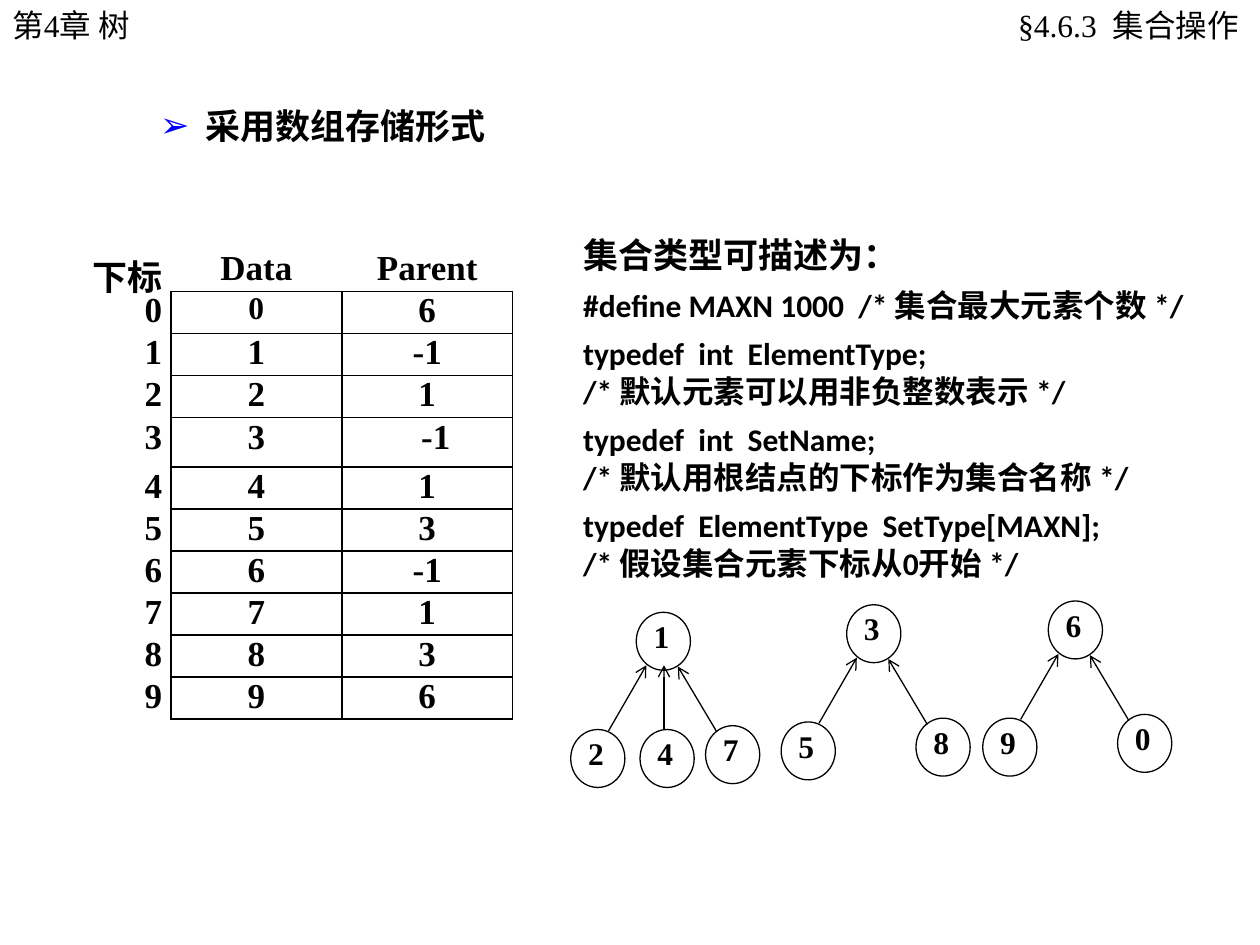
from lxml import etree
from pptx import Presentation
from pptx.dml.color import RGBColor
from pptx.enum.shapes import MSO_CONNECTOR as Connector, MSO_SHAPE as Shape
from pptx.enum.text import MSO_ANCHOR as Anchor, MSO_AUTO_SIZE as AutoSize, PP_ALIGN as Align
from pptx.oxml.ns import qn
from pptx.util import Inches, Pt

COLORS = {"ink": "000000", "paper": "FFFFFF", "bullet": "0000FF"}
SERIF, SANS = "Times New Roman", "Calibri"

PARENTS = [6, -1, 1, -1, 1, 3, -1, 1, 3, 6]
CODE = [
    ["集合类型可描述为："],
    ["#define MAXN 1000  /* 集合最大元素个数 */"],
    ["typedef  int  ElementType;", "/* 默认元素可以用非负整数表示 */"],
    ["typedef  int  SetName;", "/* 默认用根结点的下标作为集合名称 */"],
    ["typedef  ElementType  SetType[MAXN];", "/* 假设集合元素下标从0开始 */"],
]

# Per child slot, relative to the root's corner: child corner, arrow tip, arrow tail
SLOTS = {
    "left": ((-0.52, 0.93), (0.08, 0.42), (-0.22, 0.94)),
    "middle": ((0.03, 0.93), (0.22, 0.42), (0.22, 0.93)),
    "right": ((0.55, 0.9), (0.33, 0.43), (0.64, 0.95)),
}
TREES = [
    (5.05, 4.86, 1, {"left": 2, "middle": 4, "right": 7}),
    (6.72, 4.8, 3, {"left": 5, "right": 8}),
    (8.32, 4.77, 6, {"left": 9, "right": 0}),
]


def color(name):
    return RGBColor.from_string(COLORS[name])


def write(para, text, size, font=SERIF, bold=True, align=Align.LEFT):
    para.text = text
    para.alignment = align
    for span in para.runs:
        span.font.size, span.font.name, span.font.bold = Pt(size), font, bold
        span.font.color.rgb = color("ink")


def add_textbox(slide, left, top, width, height):
    box = slide.shapes.add_textbox(Inches(left), Inches(top), Inches(width), Inches(height))
    box.text_frame.word_wrap = True
    return box.text_frame


def add_header(slide, left, top, width, height, text, align):
    frame = add_textbox(slide, left, top, width, height)
    if align == Align.RIGHT:
        frame.margin_left, frame.margin_right = Inches(0.12), Inches(0.16)
    write(frame.paragraphs[0], text, 18, bold=False, align=align)


def place_title(slide, left, top, width, height, text):
    title = slide.shapes.title
    title.left, title.top = Inches(left), Inches(top)
    title.width, title.height = Inches(width), Inches(height)
    frame = title.text_frame
    frame.auto_size, frame.vertical_anchor = AutoSize.NONE, Anchor.TOP
    para = frame.paragraphs[0]
    write(para, text, 20, SANS)
    props = para._p.get_or_add_pPr()
    props.set("marL", str(Inches(0.36)))
    props.set("indent", str(-Inches(0.36)))
    bullet_color = etree.SubElement(props, qn("a:buClr"))
    etree.SubElement(bullet_color, qn("a:srgbClr"), val=COLORS["bullet"])
    etree.SubElement(props, qn("a:buFont"), typeface=SANS)
    etree.SubElement(props, qn("a:buChar"), char="➢")


def add_code(slide, left, top, width, height):
    frame = add_textbox(slide, left, top, width, height)
    lines = [(line, line == group[-1]) for group in CODE for line in group]
    for number, (line, ends_group) in enumerate(lines):
        para = frame.paragraphs[0] if number == 0 else frame.add_paragraph()
        write(para, line, 18 if number else 20, SANS)
        para.space_after = Pt(6 if ends_group else 0)


def set_borders(cell, sides):
    props = cell._tc.get_or_add_tcPr()
    for side in "LRTB":
        line = etree.SubElement(props, qn("a:ln" + side), w=str(Pt(1)))
        if side in sides:
            fill = etree.SubElement(line, qn("a:solidFill"))
            etree.SubElement(fill, qn("a:srgbClr"), val=COLORS["ink"])
        else:
            etree.SubElement(line, qn("a:noFill"))


def add_parent_table(slide, left, top, width, height):
    rows = [("下标", "Data", "Parent")]
    rows += [(index, index, parent) for index, parent in enumerate(PARENTS)]
    frame = slide.shapes.add_table(len(rows), 3, Inches(left), Inches(top),
                                   Inches(width), Inches(height))
    table = frame.table
    table.first_row = table.horz_banding = False
    for r, values in enumerate(rows):
        table.rows[r].height = Inches(0.39 if r == 4 else 0.33)
        for c, value in enumerate(values):
            cell = table.cell(r, c)
            cell.margin_left = cell.margin_right = Inches(0.07)
            cell.margin_top = cell.margin_bottom = 0
            if c == 0:
                set_borders(cell, "R" if r else "")
            else:
                set_borders(cell, "LRTB" if r else "B")
            cell.fill.background()
            write(cell.text_frame.paragraphs[0], str(value), 18 if (r, c) == (1, 1) else 20,
                  align=Align.CENTER if c else Align.RIGHT)
    shifted = table.cell(4, 2)
    shifted.text_frame.paragraphs[0].alignment = Align.LEFT
    shifted.margin_left = Inches(0.63)


def add_node(slide, left, top, label):
    node = slide.shapes.add_shape(Shape.OVAL, Inches(left), Inches(top),
                                  Inches(0.43), Inches(0.46))
    node.shadow.inherit = False
    node.fill.solid()
    node.fill.fore_color.rgb = color("paper")
    node.line.color.rgb, node.line.width = color("ink"), Pt(0.75)
    frame = node.text_frame
    frame.margin_left = frame.margin_top = frame.margin_bottom = 0
    frame.margin_right = Inches(0.03)
    frame.vertical_anchor = Anchor.MIDDLE
    write(frame.paragraphs[0], str(label), 18, align=Align.CENTER)
    frame.paragraphs[0].line_spacing = 0.64


def add_arrow(slide, tip, tail):
    ends = [Inches(value) for value in (*tip, *tail)]
    arrow = slide.shapes.add_connector(Connector.STRAIGHT, *ends)
    arrow.line.color.rgb, arrow.line.width = color("ink"), Pt(0.75)
    etree.SubElement(arrow.line._get_or_add_ln(), qn("a:headEnd"), type="arrow")
    etree.SubElement(arrow._element.spPr, qn("a:effectLst"))


def add_tree(slide, left, top, root, children):
    """Draw a root with its children, each pointing up to the root."""
    add_node(slide, left, top, root)
    for slot, label in children.items():
        corner, tip, tail = [(left + x, top + y) for x, y in SLOTS[slot]]
        add_node(slide, *corner, label)
        add_arrow(slide, tip, tail)


def main():
    deck = Presentation()
    deck.slide_width, deck.slide_height = Inches(10), Inches(7.5)
    slide = deck.slides.add_slide(deck.slide_layouts[5])
    add_header(slide, 0, 0, 2.09, 0.4, "第4章 树", Align.LEFT)
    add_header(slide, 6.18, 0, 3.81, 0.4, "§4.6.3  集合操作", Align.RIGHT)
    place_title(slide, 1.17, 0.78, 2.89, 0.44, "采用数组存储形式")
    add_code(slide, 4.53, 1.8, 5.16, 2.89)
    add_parent_table(slide, 0, 1.98, 4.07, 3.72)
    for tree in TREES:
        add_tree(slide, *tree)
    deck.save("out.pptx")


if __name__ == "__main__":
    main()
